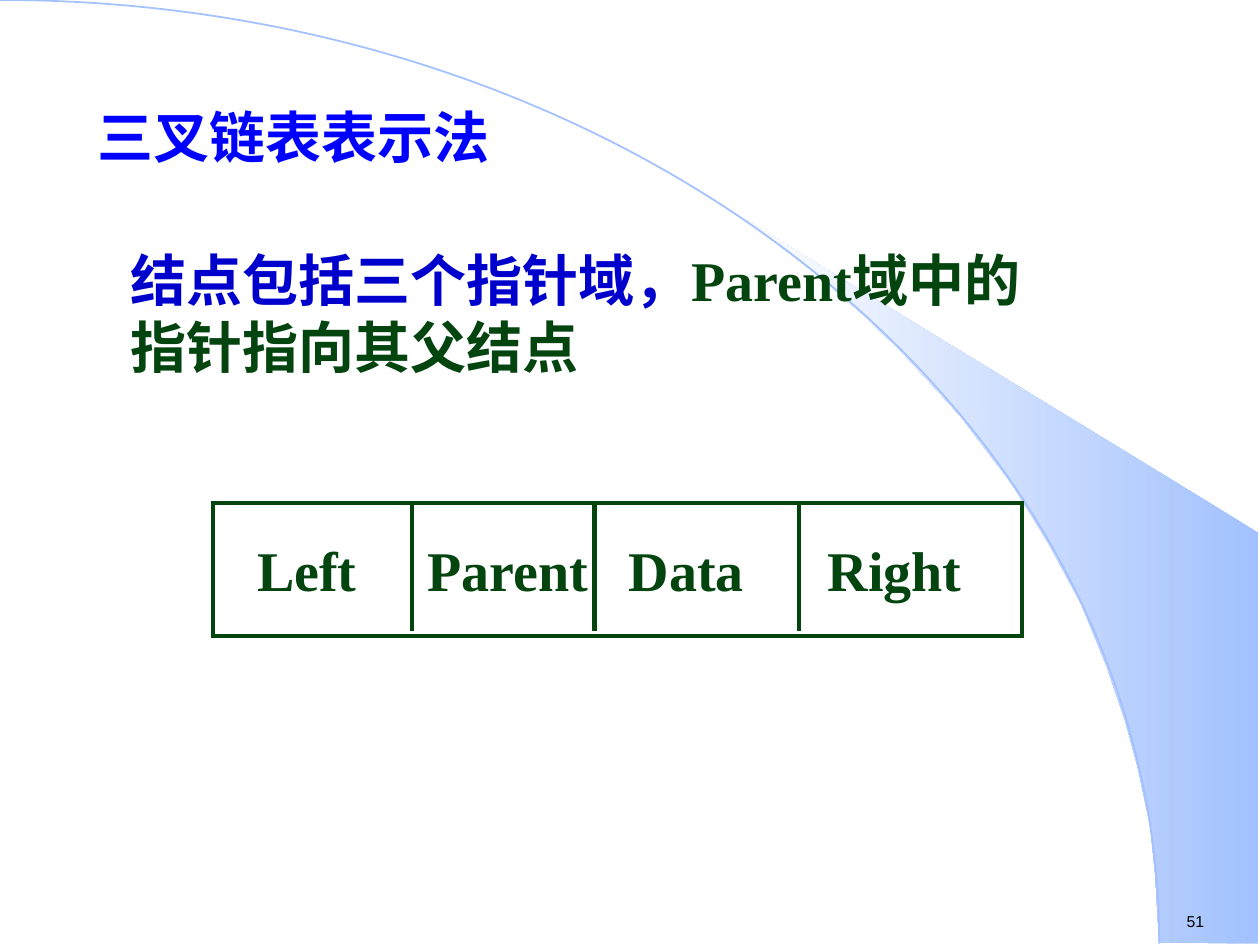
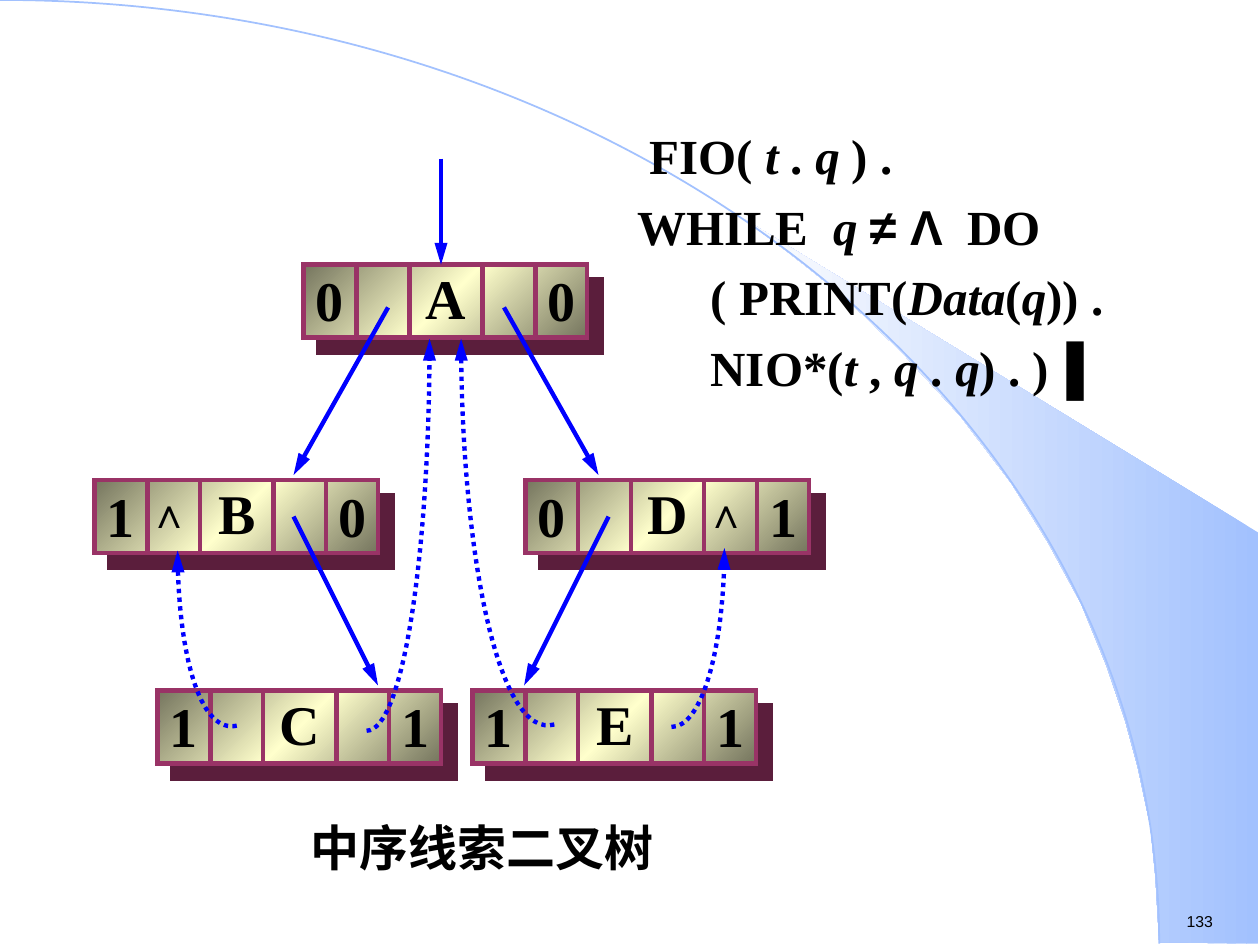
from lxml.etree import SubElement
from pptx import Presentation
from pptx.dml.color import RGBColor
from pptx.enum.dml import MSO_LINE
from pptx.enum.shapes import MSO_CONNECTOR, MSO_SHAPE
from pptx.enum.text import MSO_ANCHOR, PP_ALIGN
from pptx.oxml.ns import qn
from pptx.util import Inches, Pt

SERIF, SANS = "Times New Roman", "Arial"
BLACK, WHITE, BLUE, NAVY = "000000", "FFFFFF", "0000FF", "0000CC"
GREEN, PLUM, SHADE, SKY = "04440F", "993366", "5B1E3C", "A2C1FE"
METAL = [(0, "75755E"), (50, "FFFFCC"), (100, "75755E")]
GLOW = [(0, SKY), (100, "FEFEFE")]

WEDGE = [(9.2, 7.48), (9.99, 7.49), (9.99, 4.23), (5.89, 1.73), (6.24, 1.99),
         (6.53, 2.22), (6.85, 2.5), (7.16, 2.8), (7.62, 3.3), (8.03, 3.84),
         (8.32, 4.31), (8.58, 4.79), (8.78, 5.28), (8.93, 5.72),
         (9.03, 6.09), (9.13, 6.56), (9.17, 6.96)]
ARC = ((-9.2, 0, 18.4, 14.97),
       [(0, 0), (5.08, 0), (9.2, 3.35), (9.2, 7.49)])

TITLE = "三叉链表表示法"
INTRO = [("结点包括三个指针域，", NAVY), ("Parent域中的指针指向其父结点", GREEN)]
FIELDS = [("Left", 2.04), ("Parent", 3.39), ("Data", 4.99), ("Right", 6.57)]
RECORD = (1.69, 3.99, 6.42, 1.06)
SPLITS = [3.27, 4.72, 6.34]

CODE = [" FIO( |t| . |q| ) .", "WHILE  |q |≠ Λ||  DO",
        "      ( PRINT(|Data|(|q|)) .", "      NIO*(|t| , |q| . |q|) . )▐"]
NODES = [("A", 2.41, 2.1, "0", "0"), ("B", 0.75, 3.81, "1", "0"),
         ("C", 1.25, 5.48, "1", "1"), ("D", 4.17, 3.81, "0", "1"),
         ("E", 3.75, 5.48, "1", "1")]
WIDE, HIGH = 2.25, 0.58
CELLS = [0.42, 0.84, 1.42, 1.84]
LINKS = [(3.08, 2.44, 2.33, 3.77), (4, 2.44, 4.75, 3.77),
         (2.33, 4.1, 3, 5.44), (4.83, 4.1, 4.16, 5.44), (3.5, 1.26, 3.5, 2.1)]
THREADS = [
    ((2.42, 0.13, 1, 5.66),
     [(2.91, 5.8), (3.19, 5.8), (3.41, 4.4), (3.41, 2.69)]),
    ((3.66, -0.4, 1.33, 6.17),
     [(4.4, 5.75), (3.97, 5.87), (3.66, 4.39), (3.66, 2.69)]),
    ((1.41, 3.1, 0.83, 2.67),
     [(1.88, 5.76), (1.6, 5.82), (1.41, 5.17), (1.41, 4.37)]),
    ((4.91, 2.93, 0.83, 2.83),
     [(5.33, 5.77), (5.56, 5.77), (5.75, 5.13), (5.75, 4.35)])]
NULLS = [1.08, 5.5]
LEGEND = "中序线索二叉树"


def hue(code):
    return RGBColor.from_string(code)


def node(base, tag, **attrs):
    return SubElement(base, qn("a:" + tag), attrs)


def stroke(line, ink, width):
    line.color.rgb = hue(ink)
    line.width = Pt(width)


def edge(shape):
    return shape._element.spPr.find(qn("a:ln"))


def point(shape):
    node(edge(shape), "tailEnd", type="triangle", w="med", len="lg")


def blend(shape, stops, angle):
    shape.fill.background()
    props = shape._element.spPr
    grad = node(props, "gradFill", rotWithShape="1")
    group = node(grad, "gsLst")
    for pos, ink in stops:
        stop = node(group, "gs", pos=str(pos * 1000))
        node(stop, "srgbClr", val=ink)
    node(grad, "lin", ang=str(angle * 60000), scaled="0")
    props.replace(props.find(qn("a:noFill")), grad)


def style(run, size, ink=BLACK, bold=True, face=SERIF):
    font = run.font
    font.size, font.bold, font.name = Pt(size), bold, face
    font.color.rgb = hue(ink)


def label(slide, at, words, size, ink=BLACK, bold=True, face=SERIF,
          align=PP_ALIGN.LEFT):
    box = slide.shapes.add_textbox(*map(Inches, at))
    frame = box.text_frame
    frame.word_wrap = True
    frame.text = words
    para = frame.paragraphs[0]
    para.alignment = align
    for run in para.runs:
        style(run, size, ink, bold, face)
    return frame


def link(slide, ends, ink):
    line = slide.shapes.add_connector(MSO_CONNECTOR.STRAIGHT,
                                      *map(Inches, ends))
    stroke(line.line, ink, 2.5)
    node(line._element.spPr, "effectLst")
    return line


def block(slide, at, ink):
    rect = slide.shapes.add_shape(MSO_SHAPE.RECTANGLE, *map(Inches, at))
    rect.shadow.inherit = False
    stroke(rect.line, ink, 2.5)
    node(edge(rect), "miter", lim="800000")
    return rect


def outline(slide, spots):
    spots = [(Inches(x), Inches(y)) for x, y in spots]
    pen = slide.shapes.build_freeform(*spots[0])
    pen.add_line_segments(spots[1:], close=True)
    shape = pen.convert_to_shape()
    shape.shadow.inherit = False
    shape.fill.background()
    return shape


def curve(slide, box, knots, ink, width):
    x, y, w, h = box
    shape = outline(slide, [(x, y), (x + w, y), (x + w, y + h), (x, y + h)])
    route = shape._element.spPr.find(".//" + qn("a:path"))
    for part in list(route):
        route.remove(part)
    route.set("fill", "none")
    for tag, spots in (("moveTo", knots[:1]), ("cubicBezTo", knots[1:])):
        step = node(route, tag)
        for px, py in spots:
            node(step, "pt", x=str(Inches(px - x)), y=str(Inches(py - y)))
    stroke(shape.line, ink, width)
    return shape


def start(deck, layout, number):
    slide = deck.slides.add_slide(deck.slide_layouts[layout])
    wedge = outline(slide, WEDGE)
    blend(wedge, GLOW, 180)
    wedge.line.fill.background()
    curve(slide, *ARC, SKY, 1)
    label(slide, (9.32, 7.19, 0.77, 0.25), number, 9, bold=False, face=SANS)
    return slide


def record(deck):
    slide = start(deck, 5, "51")
    title = slide.shapes.title
    title.left, title.top, title.width, title.height = map(
        Inches, (0.67, 0.76, 7.77, 0.67))
    frame = title.text_frame
    frame.text = TITLE
    frame.vertical_anchor = MSO_ANCHOR.TOP
    frame.paragraphs[0].alignment = PP_ALIGN.LEFT
    style(frame.paragraphs[0].runs[0], 32, BLUE)

    rect = block(slide, RECORD, GREEN)
    rect.fill.solid()
    rect.fill.fore_color.rgb = hue(WHITE)
    frame = rect.text_frame
    first = FIELDS[0][1]
    frame.margin_left = Inches(first - RECORD[0])
    frame.margin_right = 0
    frame.text = "\t".join(word for word, x in FIELDS)
    para = frame.paragraphs[0]
    para.alignment = PP_ALIGN.LEFT
    tabs = node(para._p.get_or_add_pPr(), "tabLst")
    for word, x in FIELDS[1:]:
        node(tabs, "tab", pos=str(Inches(x - first)), algn="l")
    for run in para.runs:
        style(run, 32, GREEN)
    for x in SPLITS:
        link(slide, (x, 3.99, x, 5.01), GREEN)

    para = label(slide, (0.94, 1.9, 7.36, 1.17), "", 32).paragraphs[0]
    for words, ink in INTRO:
        run = para.add_run()
        run.text = words
        style(run, 32, ink)


def listing(slide):
    frame = label(slide, (4.96, 0.95, 4.76, 2.32), "", 28)
    for n, text in enumerate(CODE):
        para = frame.add_paragraph() if n else frame.paragraphs[0]
        if n:
            para.space_before = Pt(6.7)
        for k, part in enumerate(text.split("|")):
            if part:
                run = para.add_run()
                run.text = part
                style(run, 28, face=SANS if "≠" in part else SERIF)
                run.font.italic = k % 2 == 1


def cell(slide, name, x, y, left, right):
    rect = block(slide, (x, y, WIDE, HIGH), PLUM)
    blend(rect, METAL, 45)
    effect = rect._element.spPr.find(qn("a:effectLst"))
    cast = node(effect, "outerShdw", dist=str(Pt(12.1)), dir="2700000",
                algn="ctr", rotWithShape="0")
    node(cast, "srgbClr", val=SHADE)
    for gap in CELLS:
        link(slide, (x + gap, y, x + gap, y + HIGH), PLUM)
    frame = label(slide, (x + CELLS[1], y, HIGH, HIGH), name, 32,
                  align=PP_ALIGN.CENTER)
    frame.paragraphs[0].line_spacing = 0.9
    for gap, flag in ((0, left), (CELLS[3], right)):
        label(slide, (x + gap, y - 0.04, 0.5, 0.64), flag, 32)


def tree(deck):
    slide = start(deck, 6, "133")
    listing(slide)
    for item in NODES:
        cell(slide, *item)
    for ends in LINKS:
        point(link(slide, ends, BLUE))
    for box, knots in THREADS:
        thread = curve(slide, box, knots, BLUE, 2.5)
        thread.line.dash_style = MSO_LINE.ROUND_DOT
        point(thread)
    for x in NULLS:
        label(slide, (x, 3.81, 0.5, 0.5), "∧", 24)
    label(slide, (1.16, 6.44, 5.33, 0.57), LEGEND, 28,
          align=PP_ALIGN.CENTER)


def main():
    deck = Presentation()
    deck.slide_width, deck.slide_height = Inches(10), Inches(7.5)
    record(deck)
    tree(deck)
    deck.save("out.pptx")


if __name__ == "__main__":
    main()
